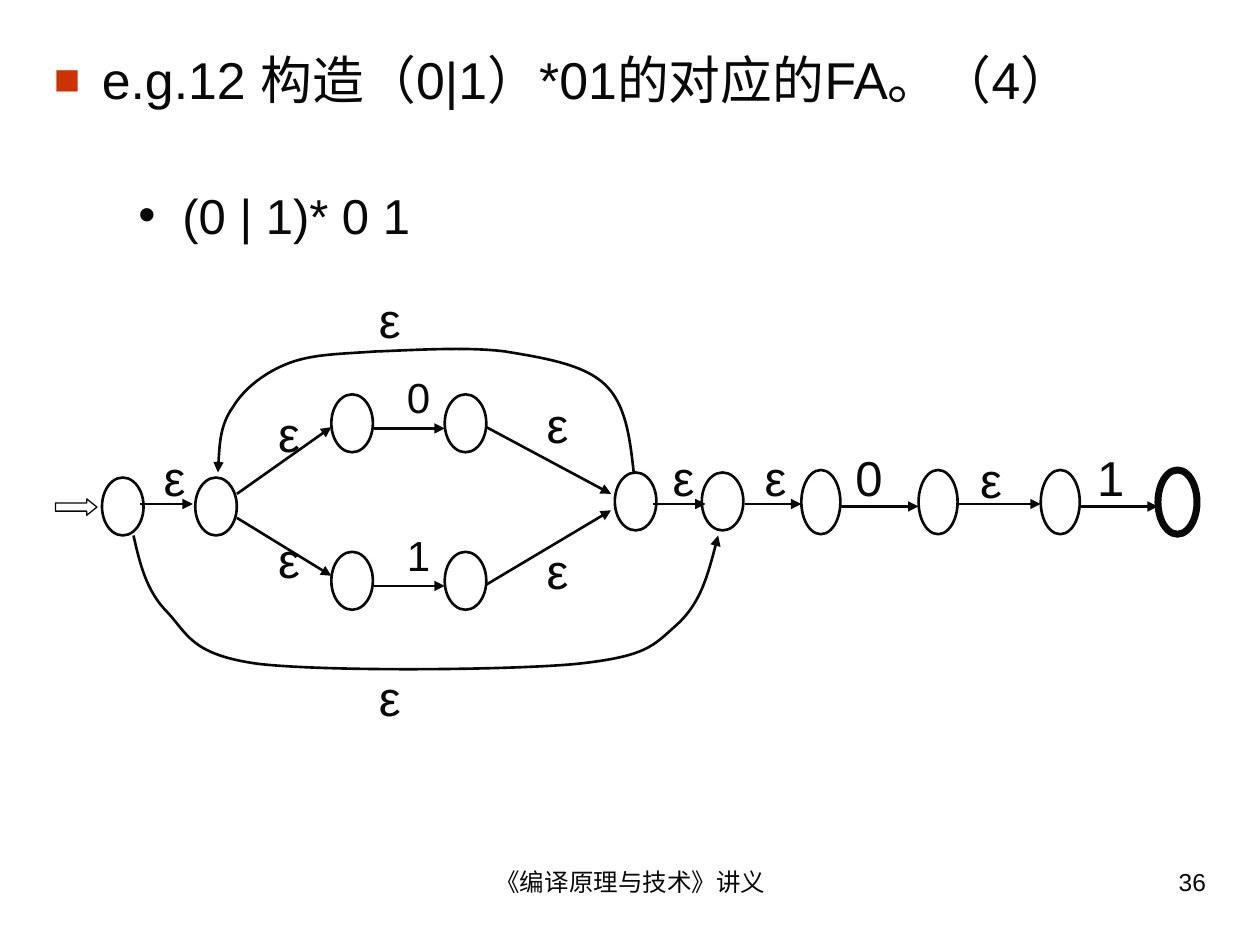
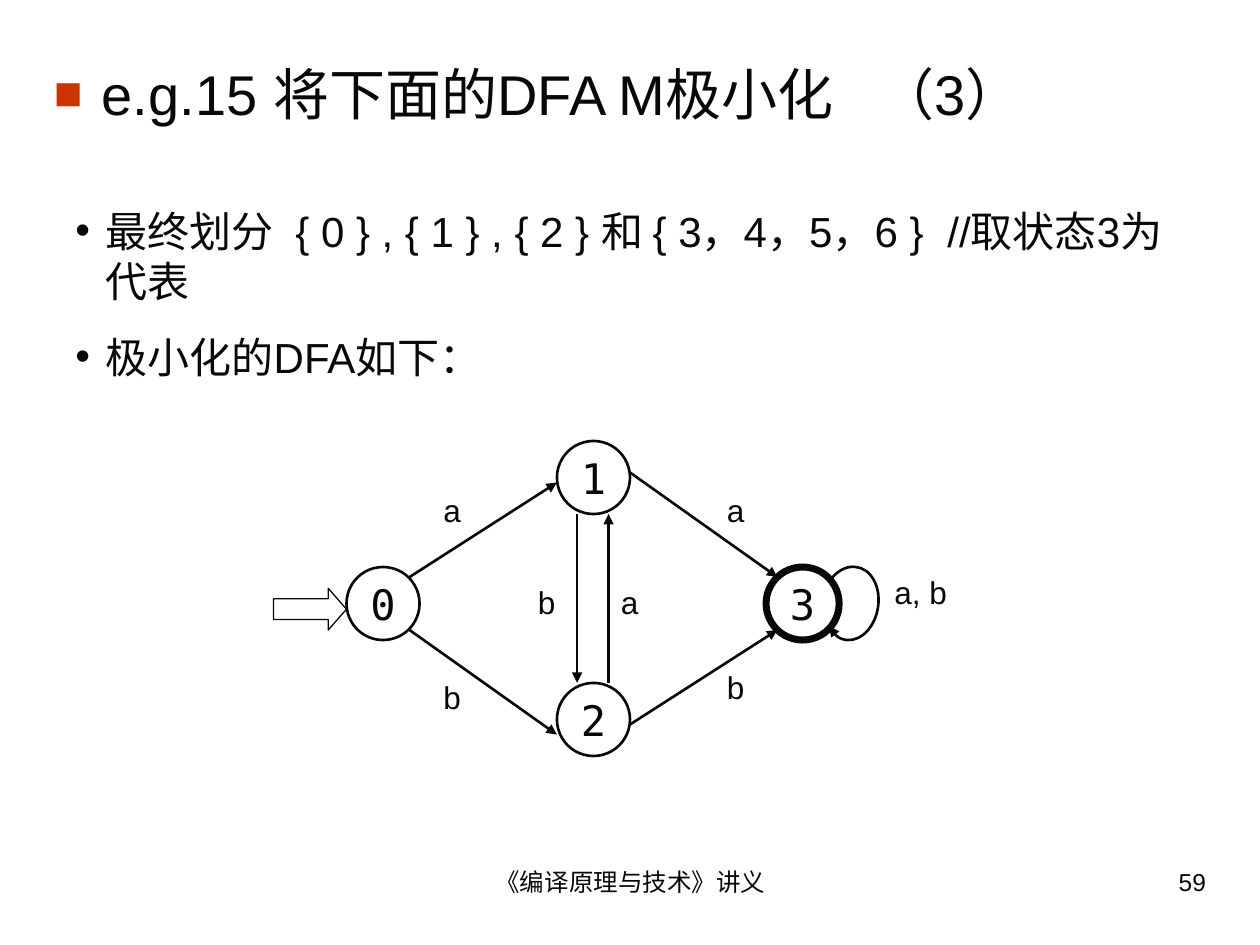
"""Builds two lecture slides on finite automata."""
from itertools import product

from lxml import etree
from pptx import Presentation, util as u
from pptx.dml.color import RGBColor
from pptx.enum import shapes as sh, text as tx
from pptx.oxml.ns import qn

PX = 9144
INK = "080808"
RED = "CC3300"
SANS = "Arial"
MONO = "DejaVu Sans Mono"
FOOT = "《编译原理与技术》讲义"
LEFT, MID, RIGHT = tx.PP_ALIGN.LEFT, tx.PP_ALIGN.CENTER, tx.PP_ALIGN.RIGHT


def px(*nums):
    """Turn px lengths into EMU."""
    return [u.Emu(n * PX) for n in nums]


def color(code):
    """Turn a hex string into a colour."""
    return RGBColor.from_string(code)


def stroke(item, width):
    """Give a shape or connector a plain ink line."""
    item.line.color.rgb = color(INK)
    item.line.width = u.Pt(width)


def tip(item):
    """Put a triangle at the end of a line."""
    line = item.element.spPr.find(qn("a:ln"))
    etree.SubElement(line, qn("a:tailEnd"), type="triangle")


def write(par, runs, size, font=SANS):
    """Add runs to a paragraph; a pair holds text and extra spacing in points."""
    for part in runs:
        words, gap = part if isinstance(part, tuple) else (part, 0)
        run = par.add_run()
        run.text = words
        run.font.size = u.Pt(size)
        run.font.name = font
        run.font.color.rgb = color(INK)
        if gap:
            run.font._element.set("spc", str(gap * 100))


def bullet(par, mark, code, hang, scale=100):
    """Give a paragraph a hanging bullet."""
    props = par._p.get_or_add_pPr()
    props.set("marL", str(hang * PX))
    props.set("indent", str(-hang * PX))
    tint = etree.SubElement(props, qn("a:buClr"))
    etree.SubElement(tint, qn("a:srgbClr"), val=code)
    etree.SubElement(props, qn("a:buSzPct"), val=str(scale * 1000))
    etree.SubElement(props, qn("a:buFont"), typeface=SANS)
    etree.SubElement(props, qn("a:buChar"), char=mark)


def label(slide, box, runs, size, align=LEFT):
    """Add a wrapping text box and return its paragraph."""
    frame = slide.shapes.add_textbox(*px(*box)).text_frame
    frame.word_wrap = True
    par = frame.paragraphs[0]
    par.alignment = align
    write(par, runs, size)
    return par


def point(slide, box, runs, size, hang=24):
    """Add a text box with a round bullet."""
    bullet(label(slide, box, runs, size), "•", INK, hang)


def outline(slide, kind, box, width):
    """Add an unfilled preset shape."""
    item = slide.shapes.add_shape(kind, *px(*box))
    item.shadow.inherit = False
    item.fill.background()
    stroke(item, width)
    return item


def node(slide, box, name="", final=False):
    """Add a state, with a thick line when it is final."""
    item = outline(slide, sh.MSO_SHAPE.OVAL, box, 4 if final else 1.5)
    if name:
        frame = item.text_frame
        frame.word_wrap = False
        frame.vertical_anchor = tx.MSO_ANCHOR.MIDDLE
        par = frame.paragraphs[0]
        par.alignment = MID
        write(par, [name], 24, MONO)


def start(slide, box, head):
    """Add the block arrow that marks the start state."""
    item = outline(slide, sh.MSO_SHAPE.RIGHT_ARROW, box, 0.75)
    item.adjustments[1] = head


def edge(slide, *ends):
    """Add a straight arrow."""
    item = slide.shapes.add_connector(sh.MSO_CONNECTOR.STRAIGHT, *px(*ends))
    stroke(item, 1.5)
    tip(item)
    etree.SubElement(item.element.spPr, qn("a:effectLst"))


def curve(slide, first, *rest):
    """Add a curved arrow from a start point and triples of Bézier points."""
    pen = slide.shapes.build_freeform(*first, scale=PX)
    pen.add_line_segments(rest, close=False)
    item = pen.convert_to_shape()
    item.shadow.inherit = False
    item.fill.background()
    stroke(item, 1.5)
    tip(item)
    legs = list(item.element.iter(qn("a:lnTo")))
    for i in range(0, len(legs), 3):
        bend = etree.Element(qn("a:cubicBezTo"))
        legs[i].addprevious(bend)
        for leg in legs[i:i + 3]:
            bend.append(leg[0])
            leg.getparent().remove(leg)


def page(deck, num, title, size, top, high):
    """Add a slide with its title, footer and number."""
    slide = deck.slides.add_slide(deck.slide_layouts[6])
    label(slide, (342, 683, 317, 52), [FOOT], 14, MID)
    label(slide, (717, 683, 250, 52), [str(num)], 14, RIGHT)
    head = label(slide, (33, top, 934, high), title, size)
    bullet(head, "■", RED, 38, 85)
    return slide


def build(deck):
    """Draw the automaton built from the expression."""
    slide = page(deck, 36, ["e.g.12 构造（0|1）*01的对应的FA。（4）"], 29.6, 33, 83)
    point(slide, (100, 142, 350, 57), ["(0 | 1)* 0 1"], 28, 35)
    start(slide, (44, 396, 33, 13), 0.625)
    spots = [(81, 379), (155, 379), (488, 375), (557, 375)]
    for x, y in spots + list(product((263, 353), (313, 438))):
        node(slide, (x, y, 33, 46))
    for x in (636, 729, 826, 919):
        node(slide, (x, 373, 31, 51), final=x == 919)
    for ends in (
        (188, 392, 263, 339), (188, 411, 263, 457),
        (386, 339, 485, 392), (386, 464, 485, 405),
        (297, 340, 353, 340), (297, 465, 353, 465),
        (111, 400, 153, 400), (518, 400, 560, 400),
        (591, 400, 636, 400), (667, 402, 729, 402),
        (760, 400, 826, 400), (857, 402, 919, 402),
    ):
        edge(slide, *ends)
    curve(slide, (503, 375),
          (500, 348), (497, 321), (480, 305), (463, 289), (431, 284), (401, 279),
          (370, 275), (327, 278), (298, 279), (270, 281), (249, 281), (230, 288),
          (211, 295), (194, 308), (185, 323), (175, 337), (174, 356), (173, 375))
    curve(slide, (106, 425),
          (111, 447), (116, 469), (133, 486), (149, 503), (152, 520), (206, 527),
          (260, 533), (402, 532), (457, 527), (513, 521), (518, 513), (537, 496),
          (556, 479), (563, 452), (570, 425))
    for x, y in ((291, 225), (291, 525), (211, 315), (211, 415), (424, 308),
                 (424, 424), (120, 350), (524, 350), (597, 350), (768, 352)):
        label(slide, (x, y, 33, 57), ["ε"], 28)
    for x, y, size, name in ((313, 290, 24, "0"), (313, 415, 24, "1"),
                             (669, 350, 28, "0"), (861, 350, 28, "1")):
        label(slide, (x, y, 45, 57), [name], size)


def reduce(deck):
    """Draw the minimised automaton."""
    title = ["e.g.15 将下面的DFA M极小化", (" ", 18), "（3）"]
    slide = page(deck, 59, title, 32, 42, 75)
    point(slide, (50, 158, 892, 90),
          ["最终划分", (" ", 7), "{ 0 } , { 1 } , { 2 } 和 { 3，4，5，6 }",
           (" ", 7), "//取状态3为代表"], 24)
    point(slide, (50, 258, 892, 50), ["极小化的DFA如下："], 24)
    start(slide, (217, 467, 58, 33), 0.437)
    spots = ((275, 450), (442, 350), (442, 542), (608, 450))
    for i, (x, y) in enumerate(spots):
        node(slide, (x, y, 58, 58), str(i), i == 3)
    for ends in (
        (325, 458, 442, 383), (325, 500, 442, 583),
        (500, 375, 617, 458), (500, 575, 617, 500),
        (458, 408, 458, 542), (483, 542, 483, 408),
    ):
        edge(slide, *ends)
    curve(slide, (660, 459),
          (665, 453), (672, 449), (679, 450), (691, 451), (699, 465), (697, 481),
          (695, 497), (684, 509), (672, 508), (666, 507), (661, 503), (658, 497))
    for x, y, name in ((342, 385, "a"), (342, 533, "b"), (483, 458, "a"),
                       (417, 458, "b"), (567, 385, "a"), (567, 525, "b"),
                       (700, 450, "a, b")):
        label(slide, (x, y, 83, 40), [name], 18)


def main():
    """Build and save the deck."""
    deck = Presentation()
    deck.slide_width, deck.slide_height = px(1000, 750)
    build(deck)
    reduce(deck)
    deck.save("out.pptx")


if __name__ == "__main__":
    main()
